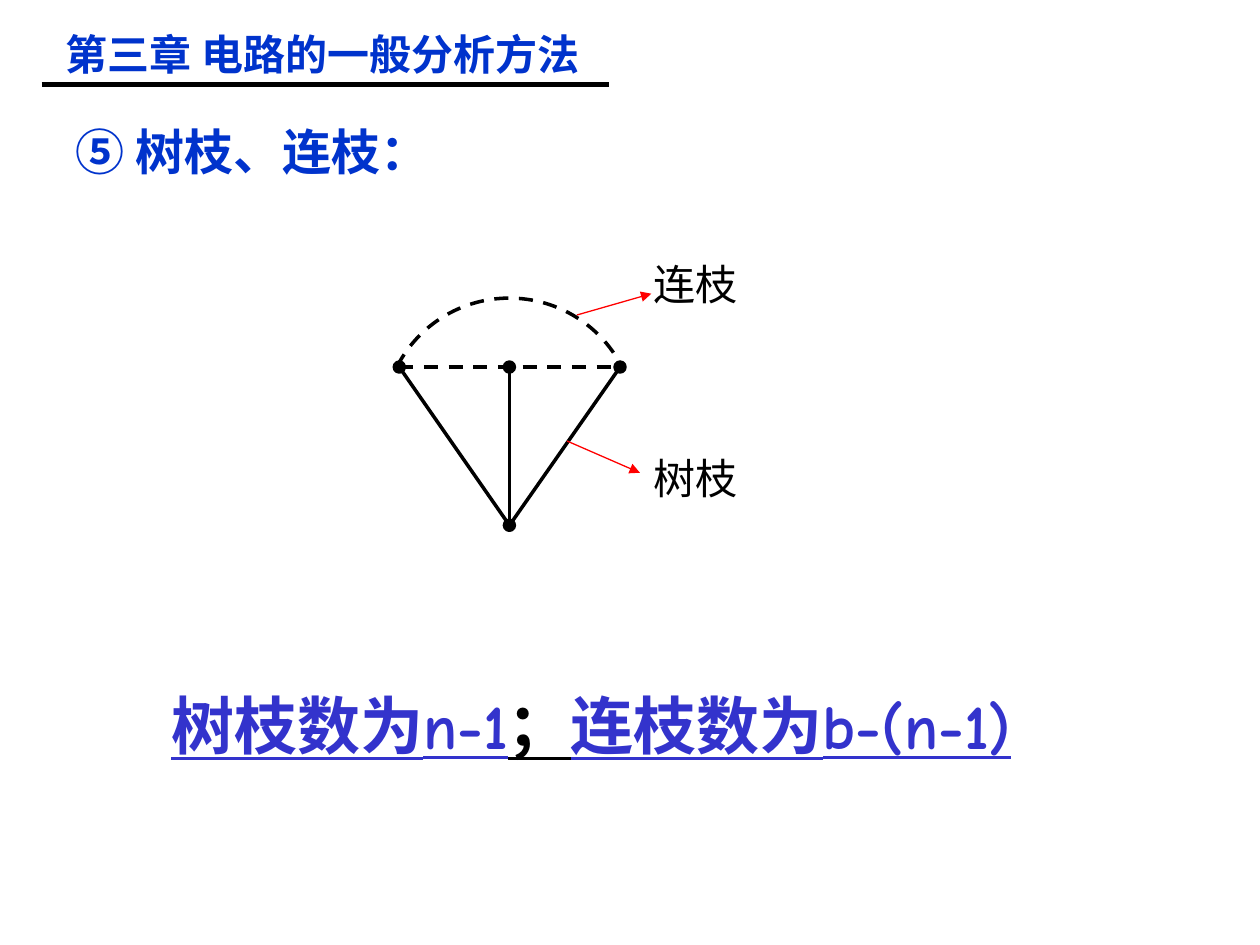
from lxml import etree
from pptx import Presentation
from pptx.dml.color import RGBColor
from pptx.enum.dml import MSO_LINE
from pptx.enum.shapes import MSO_CONNECTOR, MSO_SHAPE
from pptx.enum.text import MSO_ANCHOR, MSO_AUTO_SIZE, PP_ALIGN
from pptx.oxml.ns import qn
from pptx.util import Cm, Pt

STRAIGHT = MSO_CONNECTOR.STRAIGHT
OVAL = MSO_SHAPE.OVAL
ARC = MSO_SHAPE.ARC
DASH = MSO_LINE.DASH
TOP = MSO_ANCHOR.TOP
LEFT = PP_ALIGN.LEFT
NO_AUTOFIT = MSO_AUTO_SIZE.NONE

BLACK = "000000"
BLUE = "0033CC"
VIOLET = "3333CC"
RED = "FF0000"
CJK = "Noto Sans CJK SC"
TITLE_CJK = "Noto Sans CJK JP"

NODES = {
    "left": (8.05, 7.4),
    "middle": (10.27, 7.4),
    "right": (12.5, 7.4),
    "bottom": (10.27, 10.59),
}
DOT = 0.2
ARC_CENTRE = (10.27, 8.56)
ARC_RADIUS = 2.55
ARC_ANGLES = (207.3, 333.5)


def rgb(value):
    return RGBColor.from_string(value)


def add_span(para, text, size, color=BLACK, font="Arial", cjk=CJK,
             bold=False, underline=False):
    span = para.add_run()
    span.text = text
    span.font.size = Pt(size)
    span.font.name = font
    span.font.bold = bold
    span.font.underline = underline
    span.font.color.rgb = rgb(color)
    east_asian = etree.SubElement(span.font._element, qn("a:ea"))
    east_asian.set("typeface", cjk)


def format_frame(box, wrap):
    """Prepare a text frame and return its first paragraph."""
    frame = box.text_frame
    frame.auto_size = NO_AUTOFIT
    frame.word_wrap = wrap
    frame.vertical_anchor = TOP
    para = frame.paragraphs[0]
    para.alignment = LEFT
    return para


def add_text(page, left, top, width, height, wrap=False):
    box = page.shapes.add_textbox(Cm(left), Cm(top), Cm(width), Cm(height))
    return format_frame(box, wrap)


def format_line(line, color, width, dash=None):
    line.color.rgb = rgb(color)
    line.width = Pt(width)
    if dash is not None:
        line.dash_style = dash


def add_line(page, start, end, color=BLACK, width=2, dash=None, arrow=False):
    connector = page.shapes.add_connector(
        STRAIGHT, *(Cm(value) for value in (*start, *end)))
    format_line(connector.line, color, width, dash)
    properties = connector._element.spPr
    if arrow:
        outline = properties.find(qn("a:ln"))
        etree.SubElement(outline, qn("a:tailEnd")).set("type", "triangle")
    etree.SubElement(properties, qn("a:effectLst"))


def add_round(page, kind, centre, diameter):
    """Add a black-outlined circle or arc around its centre."""
    left, top = (Cm(value - diameter / 2) for value in centre)
    shape = page.shapes.add_shape(kind, left, top, Cm(diameter), Cm(diameter))
    shape.shadow.inherit = False
    format_line(shape.line, BLACK, 2)
    return shape


def add_title(page):
    title = page.shapes.title
    title.left, title.top = Cm(1.07), Cm(0.45)
    title.width, title.height = Cm(12.5), Cm(1.27)
    add_span(format_frame(title, wrap=True), "第三章 电路的一般分析方法", 24,
             BLUE, TITLE_CJK, TITLE_CJK, bold=True)
    add_line(page, (0.84, 1.7), (12.27, 1.7), width=3)


def add_graph(page):
    for name in ("left", "middle", "right"):
        add_line(page, NODES[name], NODES["bottom"])
    add_line(page, NODES["left"], NODES["right"], dash=DASH)

    link = add_round(page, ARC, ARC_CENTRE, 2 * ARC_RADIUS)
    link.fill.background()
    link.line.dash_style = DASH
    for index, degrees in enumerate(ARC_ANGLES):
        link.adjustments[index] = degrees * 0.6

    for centre in NODES.values():
        dot = add_round(page, OVAL, centre, DOT)
        dot.fill.solid()
        dot.fill.fore_color.rgb = rgb(BLACK)


def add_label(page, text, top, start, end):
    """Name a branch and point from it to its name."""
    add_span(add_text(page, 12.93, top, 2.18, 1.27), text, 24)
    add_line(page, start, end, RED, 0.75, arrow=True)


def main():
    deck = Presentation()
    deck.slide_width, deck.slide_height = Cm(25.4), Cm(19.05)
    page = deck.slides.add_slide(deck.slide_layouts[5])

    add_title(page)
    heading = add_text(page, 1.27, 2.32, 13.77, 1.45, wrap=True)
    add_span(heading, "⑤ 树枝、连枝", 28, BLUE, bold=True)
    add_span(heading, "：", 28, BLUE, CJK, bold=True)

    add_graph(page)
    add_label(page, "连枝", 5.08, (11.63, 6.35), (13.13, 5.92))
    add_label(page, "树枝", 8.99, (11.43, 8.89), (12.9, 9.53))

    conclusion = add_text(page, 3.2, 13.71, 18.36, 1.78)
    for text, color in (("树枝数为n-1", VIOLET), ("；", BLACK),
                        ("连枝数为b-(n-1)", VIOLET)):
        add_span(conclusion, text, 36, color, "Comic Neue",
                 bold=True, underline=True)

    deck.save("out.pptx")


if __name__ == "__main__":
    main()
